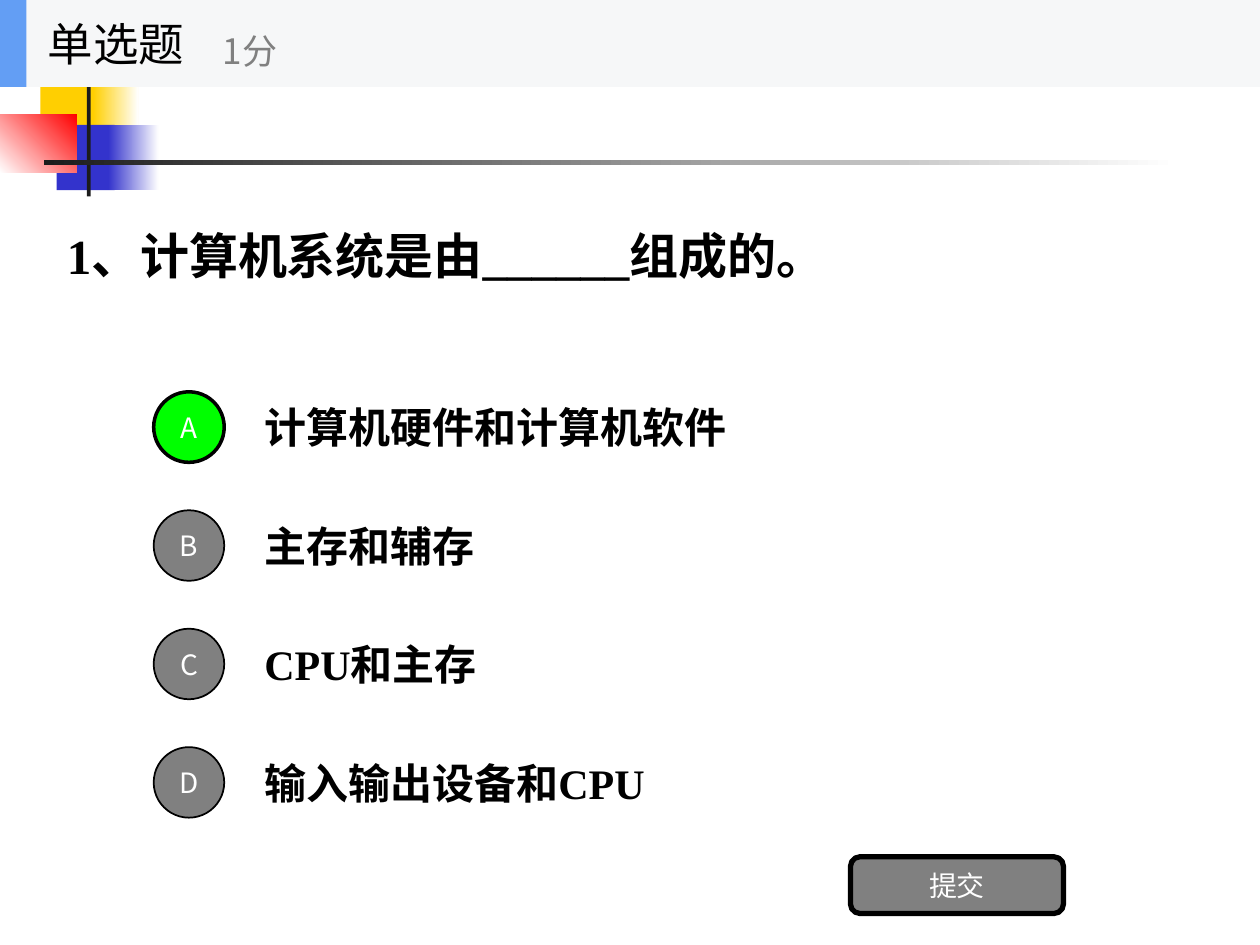
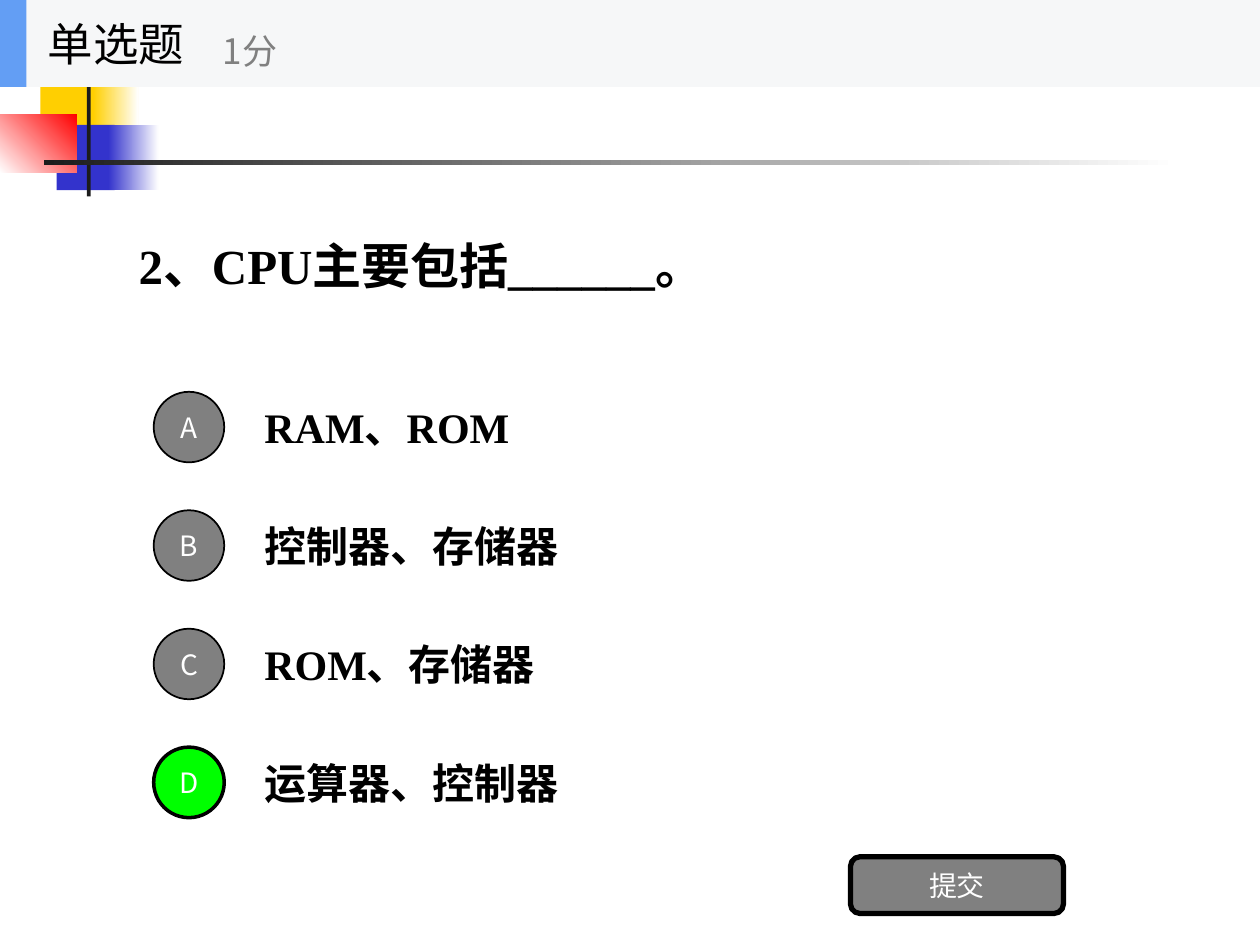
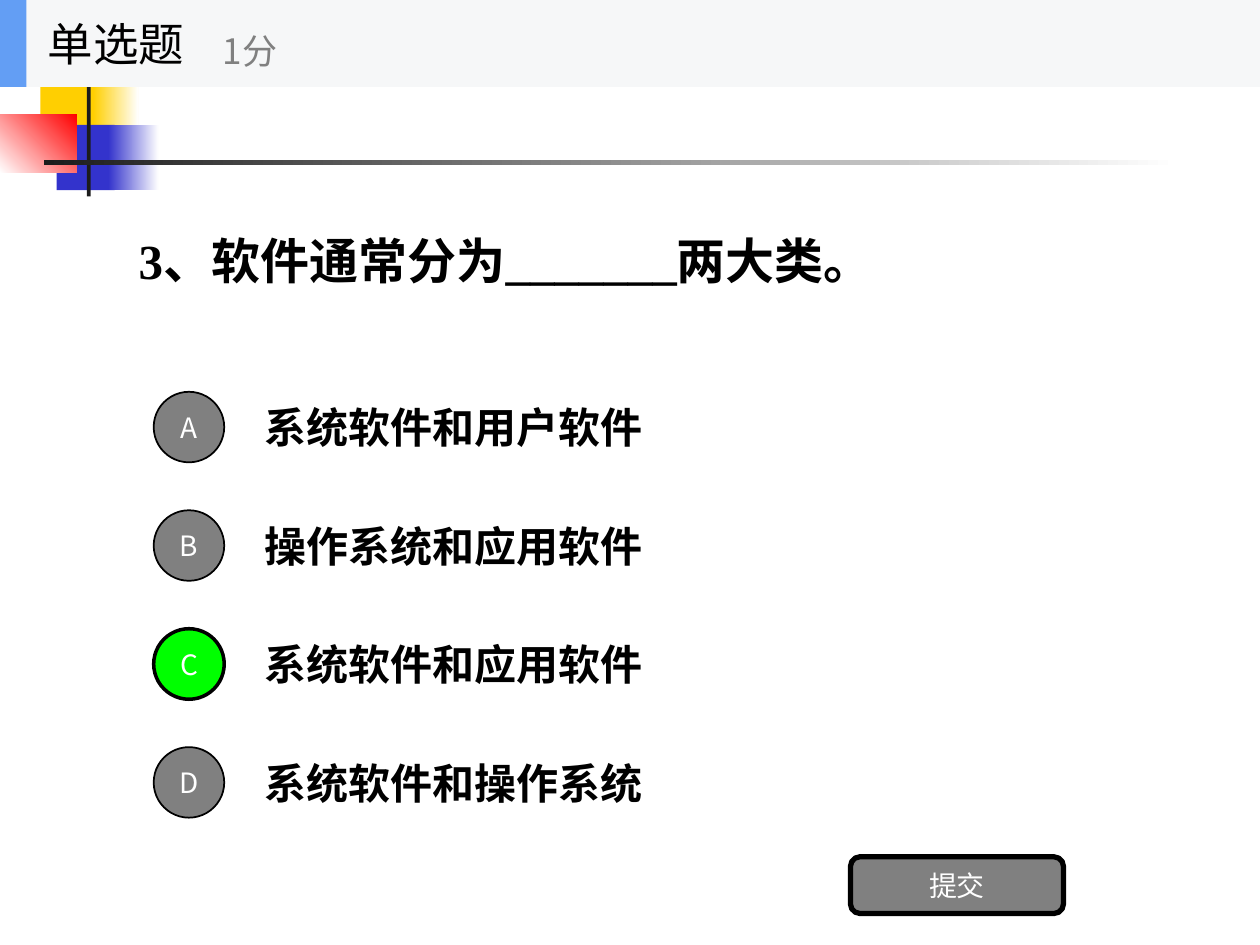
from lxml.etree import SubElement
from pptx import Presentation
from pptx.dml.color import RGBColor
from pptx.enum.shapes import MSO_SHAPE as Preset
from pptx.enum.text import MSO_ANCHOR as Anchor, MSO_AUTO_SIZE as AutoSize, PP_ALIGN as Align
from pptx.oxml.ns import qn
from pptx.util import Inches, Pt

SERIF, SANS = "Times New Roman", "Noto Sans CJK SC"
BLACK, WHITE, GRAY, GREEN = "000000", "FFFFFF", "808080", "00FF00"
YELLOW, BLUE, RED, INK = "FFCF01", "3333CC", "FF0000", "1C1C1C"
BAND, BAND_ACCENT = "F6F7F8", "639EF4"

# box, colour at the start, colour at the end (if graded), angle
ORNAMENT = [
    ((0.32, 0.53, 0.48, 0.52), YELLOW, None, 0),
    ((0.74, 0.53, 0.36, 0.52), YELLOW, WHITE, 0),
    ((0.45, 0.99, 0.46, 0.52), BLUE, None, 0),
    ((0.86, 0.99, 0.4, 0.52), BLUE, WHITE, 0),
    ((0, 0.91, 0.61, 0.46), WHITE, RED, 45),
    ((0.69, 0.41, 0.03, 1.15), INK, None, 0),
    ((0.35, 1.27, 9, 0.04), INK, WHITE, 0),
]

OPTION_TOP, OPTION_STEP = 3.04, 0.94

# question, its box, options, correct letter
QUESTIONS = [
    ("1、计算机系统是由______组成的。", (0.43, 1.31, 8.79, 1.43),
     ["计算机硬件和计算机软件", "主存和辅存", "CPU和主存", "输入输出设备和CPU"], "A"),
    ("2、CPU主要包括______。", (1, 1.39, 8, 1.43),
     ["RAM、ROM", "控制器、存储器", "ROM、存储器", "运算器、控制器"], "D"),
    ("3、软件通常分为_______两大类。", (1, 1.31, 8, 1.5),
     ["系统软件和用户软件", "操作系统和应用软件", "系统软件和应用软件", "系统软件和操作系统"], "C"),
]


def rgb(hex_colour):
    return RGBColor.from_string(hex_colour)


def inches(box):
    return [Inches(length) for length in box]


class QuizDeck:
    def __init__(self):
        self.prs = Presentation()
        self.prs.slide_width, self.prs.slide_height = Inches(10), Inches(7.5)
        self.slide = None

    def new_slide(self):
        title_only = self.prs.slide_layouts[5]
        self.slide = self.prs.slides.add_slide(title_only)

    def set_text(self, frame, text, size, colour, font=SANS, bold=False, align=Align.LEFT):
        frame.word_wrap = True
        frame.auto_size = AutoSize.NONE
        frame.vertical_anchor = Anchor.MIDDLE
        paragraph = frame.paragraphs[0]
        paragraph.alignment = align
        run = paragraph.add_run()
        run.text = text
        run.font.name, run.font.size, run.font.bold = font, Pt(size), bold
        run.font.color.rgb = rgb(colour)
        SubElement(run.font._element, qn("a:ea")).set("typeface", SANS)

    def label(self, box, text, size, colour, **style):
        textbox = self.slide.shapes.add_textbox(*inches(box))
        self.set_text(textbox.text_frame, text, size, colour, **style)

    def shape(self, preset, box, fill, fade_to=None, angle=0, line_width=0):
        shape = self.slide.shapes.add_shape(preset, *inches(box))
        shape.shadow.inherit = False
        if fade_to:
            shape.fill.gradient()
            shape.fill.gradient_angle = angle
            for stop, colour in zip(shape.fill.gradient_stops, (fill, fade_to)):
                stop.color.rgb = rgb(colour)
        else:
            shape.fill.solid()
            shape.fill.fore_color.rgb = rgb(fill)
        if line_width:
            shape.line.color.rgb = rgb(BLACK)
            shape.line.width = Pt(line_width)
        else:
            shape.line.fill.background()
        return shape

    def button(self, preset, box, text, fill, line_width):
        button = self.shape(preset, box, fill, line_width=line_width)
        self.set_text(button.text_frame, text, 16, WHITE, align=Align.CENTER)

    def ornament(self):
        for box, fill, fade_to, angle in ORNAMENT:
            self.shape(Preset.RECTANGLE, box, fill, fade_to, angle)

    def question(self, text, box):
        title = self.slide.shapes.title
        title.left, title.top, title.width, title.height = inches(box)
        self.set_text(title.text_frame, text, 28, BLACK, font=SERIF, bold=True)

    def options(self, answers, correct):
        for row, (letter, answer) in enumerate(zip("ABCD", answers)):
            top = OPTION_TOP + row * OPTION_STEP
            self.label((2, top, 7, 0.7), answer, 24, BLACK, font=SERIF, bold=True)
            fill, line_width = (GREEN, 2) if letter == correct else (GRAY, 1)
            self.button(Preset.OVAL, (1.22, top + 0.07, 0.56, 0.56), letter, fill, line_width)

    def header_band(self):
        self.shape(Preset.RECTANGLE, (0, 0, 10, 0.69), BAND)
        self.shape(Preset.RECTANGLE, (0, 0, 0.21, 0.69), BAND_ACCENT)
        self.label((0.28, 0, 2.08, 0.69), "单选题", 26, BLACK)
        self.label((1.67, 0.12, 2.5, 0.56), "1分", 20, GRAY)


def main():
    deck = QuizDeck()
    for question, box, answers, correct in QUESTIONS:
        deck.new_slide()
        deck.ornament()
        deck.question(question, box)
        deck.options(answers, correct)
        deck.button(Preset.ROUNDED_RECTANGLE, (6.75, 6.8, 1.69, 0.45), "提交", GRAY, 3)
        deck.header_band()
    deck.prs.save("out.pptx")


if __name__ == "__main__":
    main()
